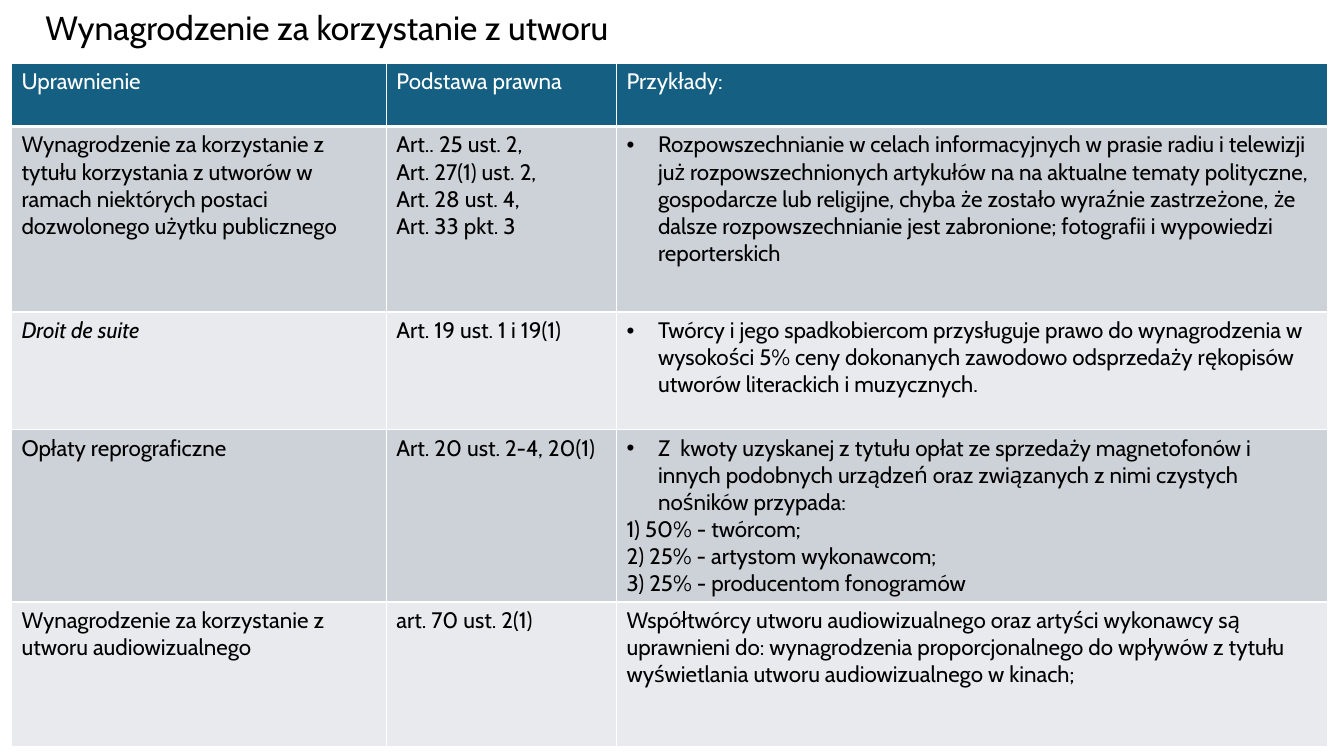
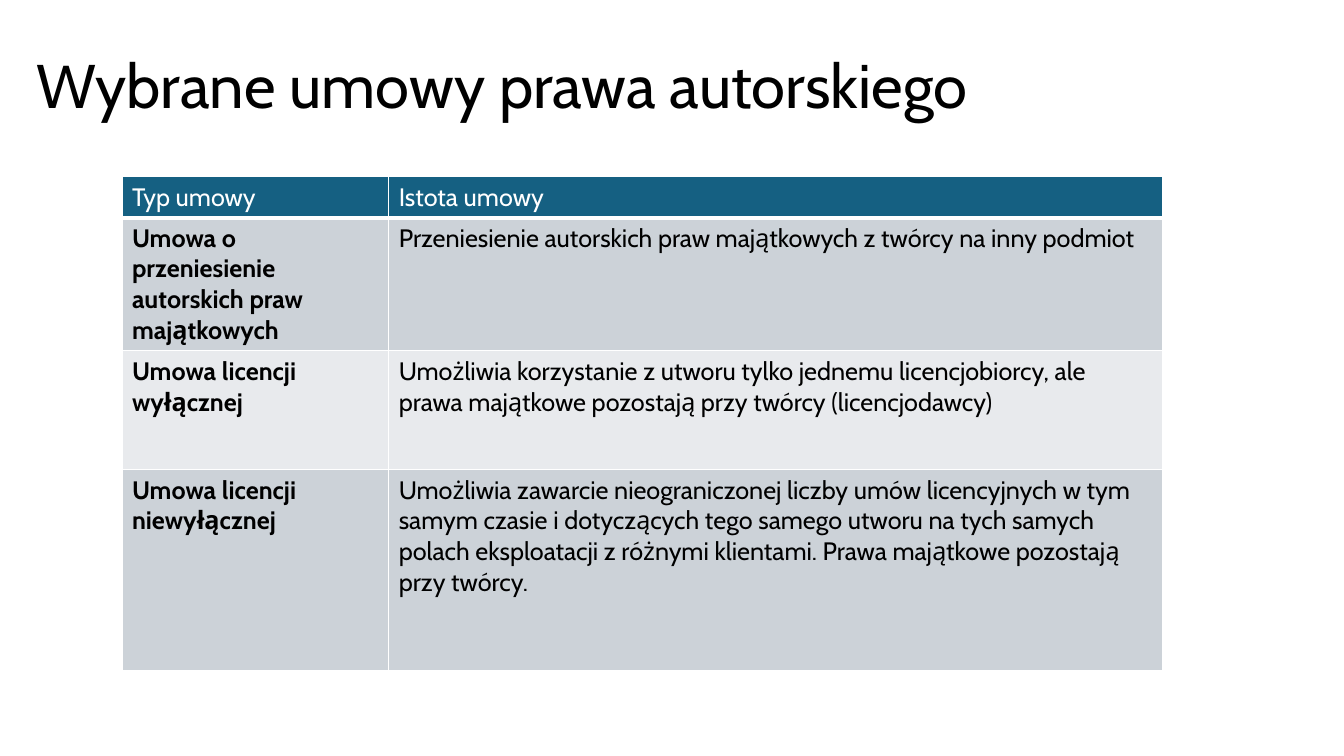
from lxml import etree
from pptx import Presentation
from pptx.dml.color import RGBColor
from pptx.enum.text import MSO_ANCHOR, MSO_AUTO_SIZE, PP_ALIGN
from pptx.oxml.ns import qn
from pptx.util import Pt

LEFT = PP_ALIGN.LEFT
MIDDLE = MSO_ANCHOR.MIDDLE
NO_AUTOFIT = MSO_AUTO_SIZE.NONE

# Shared look
FONT = "Cabin"
BLACK, WHITE = "000000", "FFFFFF"
HEADER_FILL = "156082"
BAND_FILLS = ("E8EAED", "CCD2D8")
BULLET = "• "
BULLET_INDENT = Pt(22.5)


def color(hex_string):
    return RGBColor.from_string(hex_string)


def write(frame, text, size, ink=BLACK, bold=False, italic=False, spacing=None):
    """Fill a text frame, one paragraph per line; a leading bullet sign makes a list item."""
    for number, line in enumerate(text.split("\n")):
        paragraph = frame.add_paragraph() if number else frame.paragraphs[0]
        paragraph.alignment = LEFT
        if spacing:
            paragraph.line_spacing = spacing
        if line.startswith(BULLET):
            line = line[len(BULLET):]
            properties = paragraph._p.get_or_add_pPr()
            properties.set("marL", str(BULLET_INDENT))
            properties.set("indent", str(-BULLET_INDENT))
            etree.SubElement(properties, qn("a:buFont"), typeface="Arial")
            etree.SubElement(properties, qn("a:buChar"), char="•")
        run = paragraph.add_run()
        run.text = line
        run.font.name = FONT
        run.font.size = Pt(size)
        run.font.bold = bold
        run.font.italic = italic
        run.font.color.rgb = color(ink)


# Content of the slides
remuneration = {
    "title": "Wynagrodzenie za korzystanie z utworu",
    "title_box": (25.2, 7.2, 852.5, 27.4),
    "title_size": 24,
    "origin": (8.2, 45),
    "columns": (267.8, 164.4, 507.8),
    "heights": (45.3, 132.5, 84, 122.5, 103),
    "size": 16,
    "bold_cells": (),
    "italic_cells": ((2, 0),),
    "rows": (
        ("Uprawnienie", "Podstawa prawna", "Przykłady:"),
        ("Wynagrodzenie za korzystanie z tytułu korzystania z utworów w ramach "
         "niektórych postaci dozwolonego użytku publicznego",
         "Art.. 25 ust. 2,\nArt. 27(1) ust. 2,\nArt. 28 ust. 4,\nArt. 33 pkt. 3",
         "• Rozpowszechnianie w celach informacyjnych w prasie radiu i telewizji już "
         "rozpowszechnionych artykułów na na aktualne tematy polityczne, gospodarcze "
         "lub religijne, chyba że zostało wyraźnie zastrzeżone, że dalsze "
         "rozpowszechnianie jest zabronione; fotografii i wypowiedzi reporterskich"),
        ("Droit de suite",
         "Art. 19 ust. 1 i 19(1)",
         "• Twórcy i jego spadkobiercom przysługuje prawo do wynagrodzenia w wysokości "
         "5% ceny dokonanych zawodowo odsprzedaży rękopisów utworów literackich "
         "i muzycznych."),
        ("Opłaty reprograficzne",
         "Art. 20 ust. 2-4, 20(1)",
         "• Z  kwoty uzyskanej z tytułu opłat ze sprzedaży magnetofonów i innych "
         "podobnych urządzeń oraz związanych z nimi czystych nośników przypada:\n"
         "1) 50% - twórcom;\n"
         "2) 25% - artystom wykonawcom;\n"
         "3) 25% - producentom fonogramów"),
        ("Wynagrodzenie za korzystanie z utworu audiowizualnego",
         "art. 70 ust. 2(1)",
         "Współtwórcy utworu audiowizualnego oraz artyści wykonawcy są uprawnieni do: "
         "wynagrodzenia proporcjonalnego do wpływów z tytułu wyświetlania utworu "
         "audiowizualnego w kinach;"),
    ),
}
contracts = {
    "title": "Wybrane umowy prawa autorskiego",
    "title_box": (18.7, 26.6, 752.4, 73.4),
    "title_size": 44,
    "origin": (87.1, 126.3),
    "columns": (190.6, 552.6),
    "heights": (28.6, 95, 85, 143.6),
    "size": 18,
    "bold_cells": ((1, 0), (2, 0), (3, 0)),
    "italic_cells": (),
    "rows": (
        ("Typ umowy", "Istota umowy"),
        ("Umowa o przeniesienie autorskich praw majątkowych",
         "Przeniesienie autorskich praw majątkowych z twórcy na inny podmiot"),
        ("Umowa licencji wyłącznej",
         "Umożliwia korzystanie z utworu tylko jednemu licencjobiorcy, ale prawa "
         "majątkowe pozostają przy twórcy (licencjodawcy)"),
        ("Umowa licencji niewyłącznej",
         "Umożliwia zawarcie nieograniczonej liczby umów licencyjnych w tym samym "
         "czasie i dotyczących tego samego utworu na tych samych polach eksploatacji "
         "z różnymi klientami. Prawa majątkowe pozostają przy twórcy."),
    ),
}

deck = Presentation()
deck.slide_width, deck.slide_height = Pt(960), Pt(540)
title_only = deck.slide_layouts[5]

for topic in (remuneration, contracts):
    slide = deck.slides.add_slide(title_only)

    # Title
    title = slide.shapes.title
    title.left, title.top, title.width, title.height = map(Pt, topic["title_box"])
    title.text_frame.auto_size = NO_AUTOFIT
    title.text_frame.vertical_anchor = MIDDLE
    title.text_frame.word_wrap = True
    write(title.text_frame, topic["title"], topic["title_size"], spacing=0.9)

    # Table grid
    columns, heights = topic["columns"], topic["heights"]
    left, top = topic["origin"]
    table = slide.shapes.add_table(
        len(heights), len(columns), Pt(left), Pt(top), Pt(sum(columns)), Pt(sum(heights))
    ).table
    for column, width in zip(table.columns, columns):
        column.width = Pt(width)
    for row, height in zip(table.rows, heights):
        row.height = Pt(height)

    # Cells: borders come before the fill in the cell properties
    for r, texts in enumerate(topic["rows"]):
        for c, text in enumerate(texts):
            cell = table.cell(r, c)
            cell_properties = cell._tc.get_or_add_tcPr()
            for side in "LRTB":
                thick = (r, side) in ((0, "B"), (1, "T"))
                border = etree.SubElement(
                    cell_properties, qn(f"a:ln{side}"), w=str(Pt(3 if thick else 1)))
                paint = etree.SubElement(border, qn("a:solidFill"))
                etree.SubElement(paint, qn("a:srgbClr"), val=WHITE)
            cell.fill.solid()
            cell.fill.fore_color.rgb = color(BAND_FILLS[r % 2] if r else HEADER_FILL)
            write(cell.text_frame, text, topic["size"],
                  ink=BLACK if r else WHITE,
                  bold=(r, c) in topic["bold_cells"],
                  italic=(r, c) in topic["italic_cells"])

deck.save("out.pptx")
